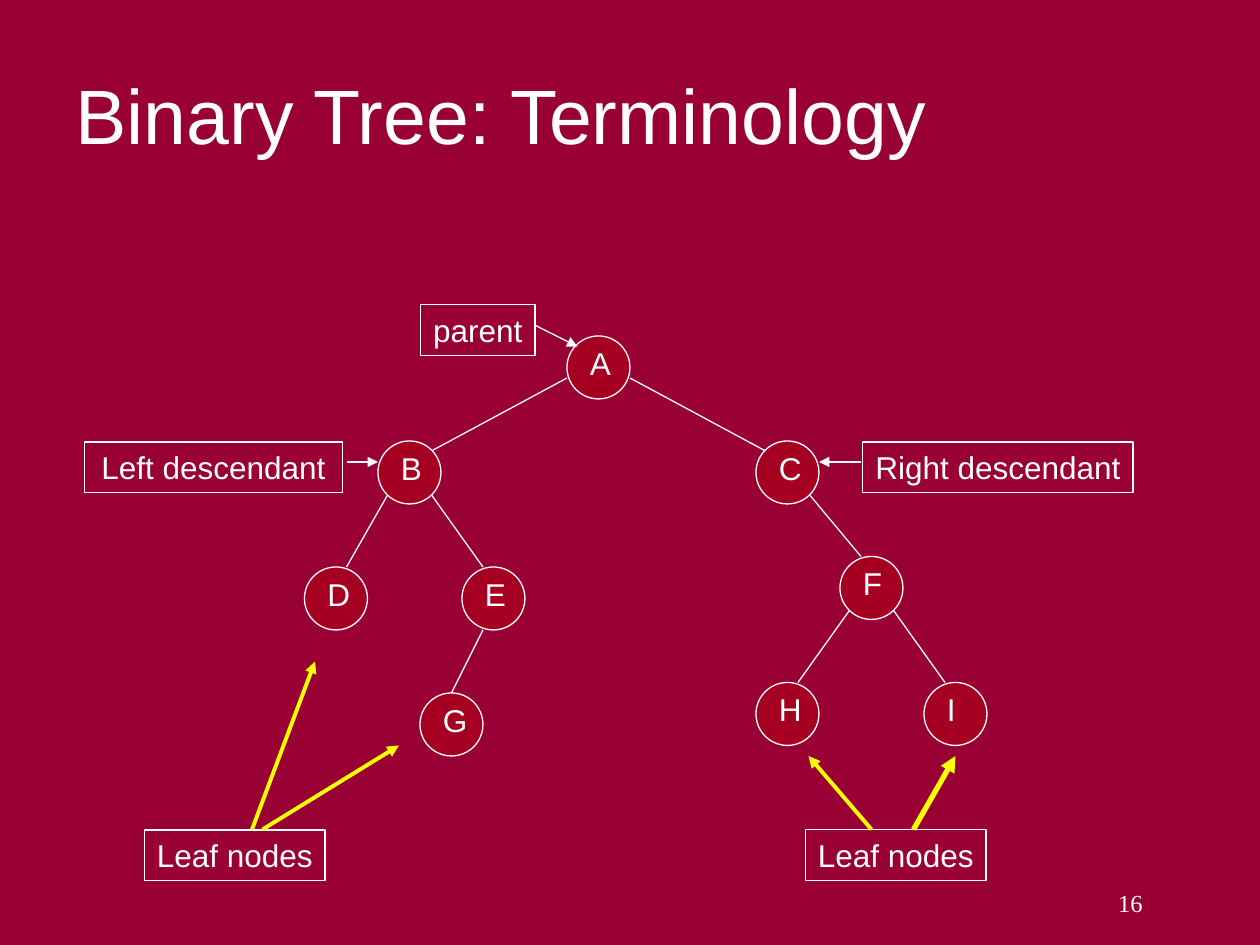
import pptx
import pptx.dml.color
import pptx.enum.shapes
import pptx.enum.text
import pptx.util
from lxml import etree

Pt = pptx.util.Pt
RGB = pptx.dml.color.RGBColor.from_string
ALIGN = pptx.enum.text.PP_ALIGN
ANCHOR = pptx.enum.text.MSO_ANCHOR
NS = "{http://schemas.openxmlformats.org/drawingml/2006/main}"
COLORS = {"bg": "990033", "node": "A50021", "ink": "FFFFFF", "leaf": "FFFF00"}
NODE = 36

prs = pptx.Presentation()
prs.slide_width, prs.slide_height = Pt(720), Pt(540)
slide = prs.slides.add_slide(prs.slide_layouts[5])
slide.background.fill.solid()
slide.background.fill.fore_color.rgb = RGB(COLORS["bg"])


def add_text(sp, text, size, font="Arial", align=ALIGN.LEFT, anchor=ANCHOR.TOP):
    tf = sp.text_frame
    tf.word_wrap = True
    tf.vertical_anchor = anchor
    p = tf.paragraphs[0]
    p.text = text
    p.alignment = align
    p.font.name, p.font.size = font, Pt(size)
    p.font.color.rgb = RGB(COLORS["ink"])


def add_line(x1, y1, x2, y2, color="ink", width=0.75, arrow=False):
    line = slide.shapes.add_connector(
        pptx.enum.shapes.MSO_CONNECTOR.STRAIGHT, Pt(x1), Pt(y1), Pt(x2), Pt(y2))
    line.line.color.rgb = RGB(COLORS[color])
    line.line.width = Pt(width)
    if arrow:
        etree.SubElement(line.line._get_or_add_ln(), NS + "tailEnd", type="triangle")
    etree.SubElement(line._element.spPr, NS + "effectLst")


title = slide.shapes.title
title.left, title.top, title.width, title.height = Pt(36), Pt(28.8), Pt(648), Pt(72)
add_text(title, "Binary Tree: Terminology", 44, anchor=ANCHOR.MIDDLE)

number = slide.shapes.add_textbox(Pt(510), Pt(504), Pt(150), Pt(36))
add_text(number, "16", 14, "Times New Roman", ALIGN.RIGHT)

edges = [
    (324, 216, 246, 258), (360, 216, 438, 258),
    (222, 282, 198, 324), (246, 282, 276, 324),
    (276, 360, 258, 396), (462, 282, 492, 318),
    (486, 348, 456, 390), (510, 348, 540, 390),
]
for edge in edges:
    add_line(*edge)

nodes = {
    "A": (324, 192), "B": (216, 252), "C": (432, 252),
    "D": (174, 324), "E": (264, 324), "F": (480, 318),
    "G": (240, 396), "H": (432, 390), "I": (528, 390),
}
for letter, (x, y) in nodes.items():
    sp = slide.shapes.add_shape(
        pptx.enum.shapes.MSO_SHAPE.OVAL, Pt(x), Pt(y), Pt(NODE), Pt(NODE))
    sp.shadow.inherit = False
    sp.fill.solid()
    sp.fill.fore_color.rgb = RGB(COLORS["node"])
    sp.line.color.rgb = RGB(COLORS["ink"])
    sp.line.width = Pt(0.75)
    add_text(slide.shapes.add_textbox(Pt(x + 6), Pt(y + 1), Pt(30), Pt(29)), letter, 18)

labels = [
    ("parent", 240.3, 174, 65.5),
    ("Left descendant", 48.2, 252.5, 147.5),
    ("Right descendant", 493, 252.5, 154.5),
    ("Leaf nodes", 82.5, 474.3, 103.3),
    ("Leaf nodes", 460.2, 474, 103.3),
]
for text, x, y, width in labels:
    sp = slide.shapes.add_textbox(Pt(x), Pt(y), Pt(width), Pt(29))
    sp.line.color.rgb = RGB(COLORS["ink"])
    sp.line.width = Pt(0.75)
    add_text(sp, text, 18, align=ALIGN.CENTER)
    sp.text_frame.word_wrap = False

arrows = [
    (306, 186, 330, 198, "ink", 0.75),
    (198, 264, 216, 264, "ink", 0.75),
    (492, 264, 468, 264, "ink", 0.75),
    (144, 474, 180, 378, "leaf", 2.25),
    (150, 474, 228, 426, "leaf", 2.25),
    (498, 474, 462, 432, "leaf", 2.25),
    (522, 474, 546, 432, "leaf", 3),
]
for arrow in arrows:
    add_line(*arrow, arrow=True)

prs.save("out.pptx")
